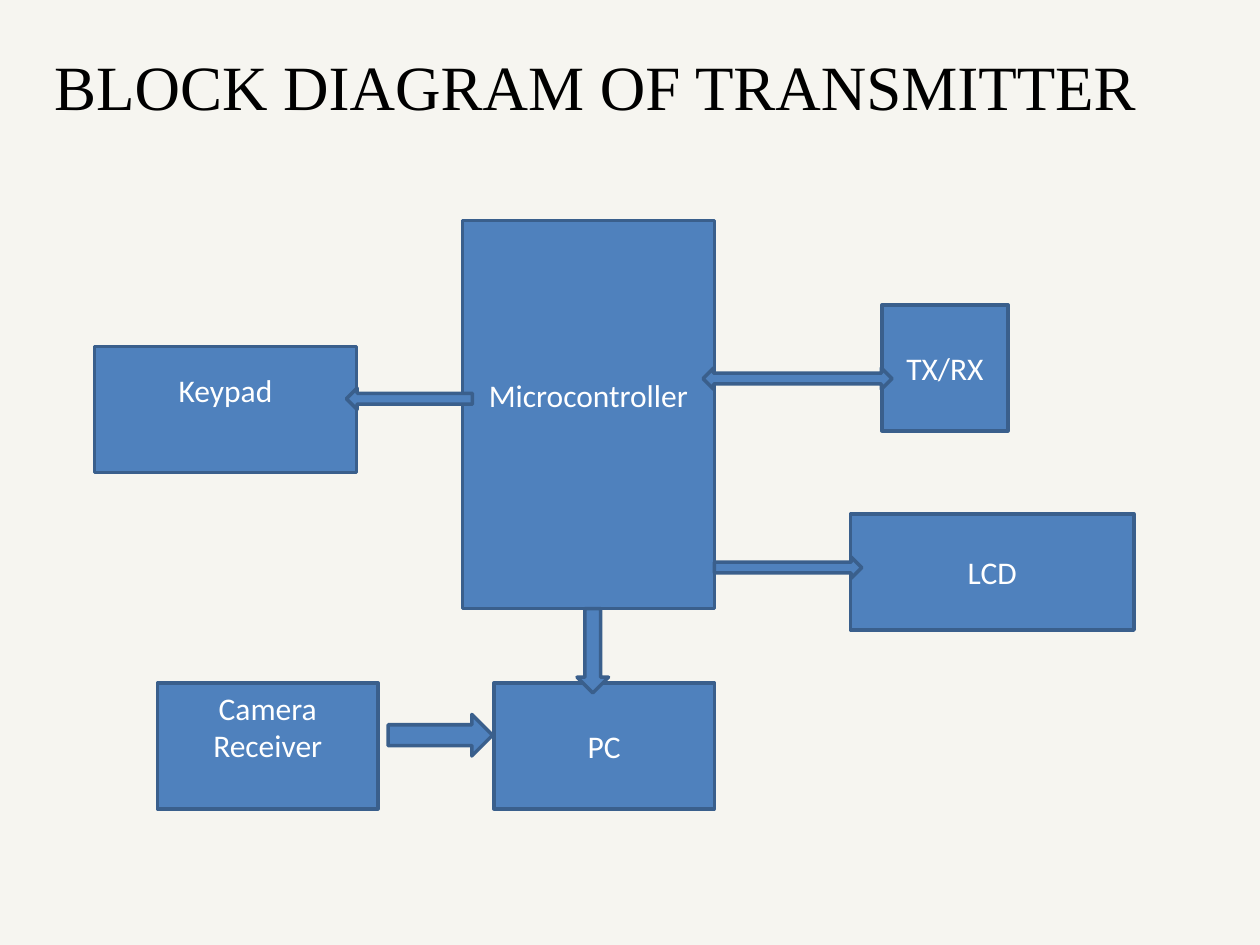
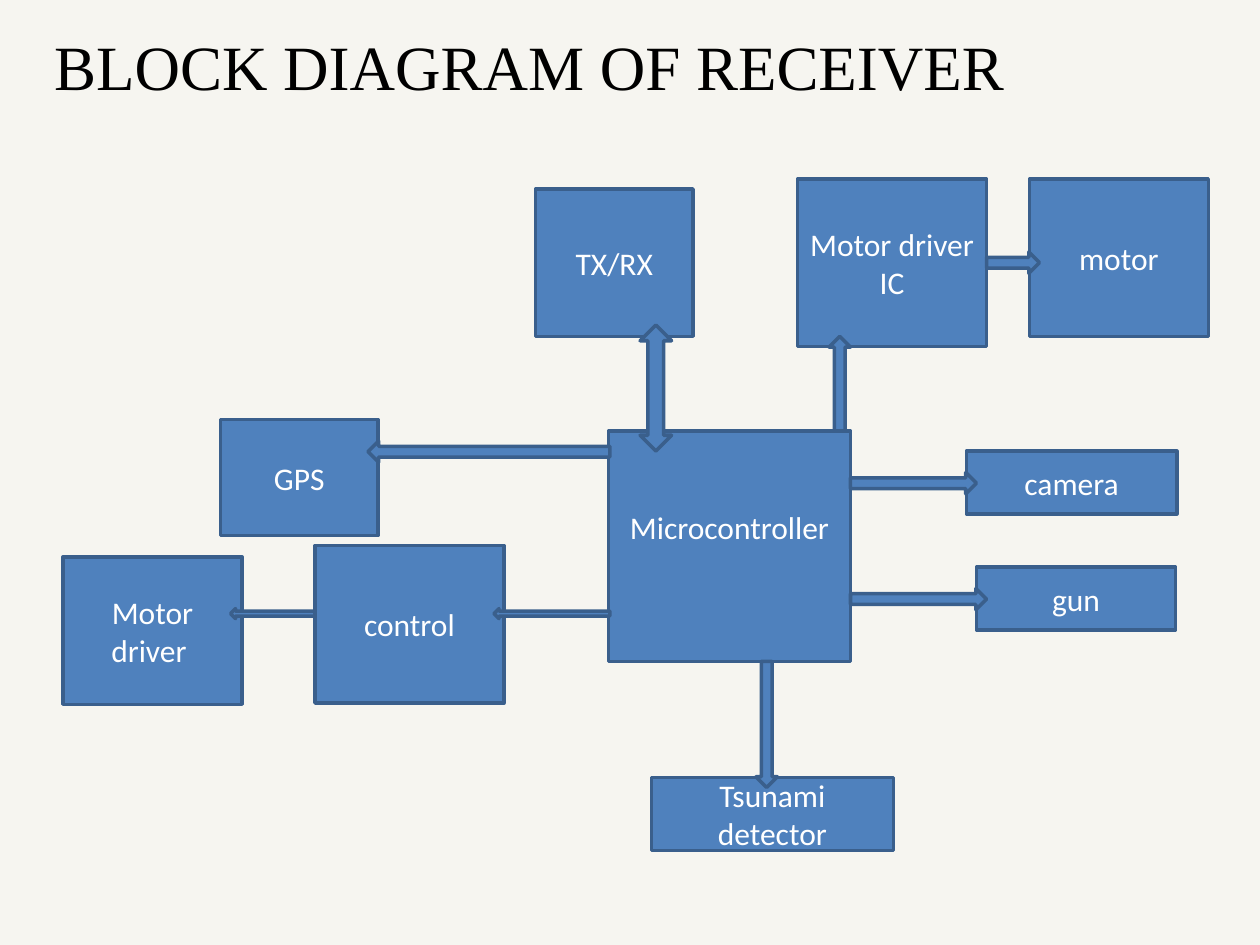
"""Build the block diagrams of a transmitter and a receiver."""
from dataclasses import dataclass

from pptx import Presentation
from pptx import slide as sl
from pptx import util as u
from pptx.dml import color
from pptx.enum import shapes, text

HUES = {"back": "F6F5F0", "fill": "4F81BD", "edge": "3A5F8C",
        "label": "FFFFFF", "title": "000000"}
KIND = shapes.MSO_SHAPE
PAD = 0.05
LINE = 0.31


@dataclass
class Block:
    """A labelled box, whose label may be raised by half a line."""
    label: str
    left: float
    top: float
    width: float
    height: float
    raised: bool = False


@dataclass
class Arrow:
    """A block arrow of a preset kind."""
    kind: shapes.MSO_SHAPE
    left: float
    top: float
    width: float
    height: float


@dataclass
class Page:
    """One diagram with its title."""
    title: str
    top: float
    width: float
    blocks: list[Block]
    arrows: list[Arrow]


PAGES = [
    Page("BLOCK DIAGRAM OF TRANSMITTER", 0.33, 9.33, [
        Block("Microcontroller", 3.67, 1.75, 2, 3.08, True),
        Block("TX/RX", 7, 2.42, 1, 1),
        Block("LCD", 6.75, 4.08, 2.25, 0.92),
        Block("Keypad", 0.75, 2.75, 2.08, 1, True),
        Block("PC", 3.92, 5.42, 1.75, 1),
        Block("Camera Receiver", 1.25, 5.42, 1.75, 1, True),
    ], [
        Arrow(KIND.DOWN_ARROW, 4.58, 4.83, 0.25, 0.67),
        Arrow(KIND.RIGHT_ARROW, 5.67, 4.42, 1.17, 0.17),
        Arrow(KIND.LEFT_ARROW, 2.75, 3.08, 1, 0.17),
        Arrow(KIND.LEFT_RIGHT_ARROW, 5.58, 2.92, 1.5, 0.17),
        Arrow(KIND.RIGHT_ARROW, 3.08, 5.67, 0.83, 0.33),
    ]),
    Page("BLOCK DIAGRAM OF RECEIVER", 0.17, 9.25, [
        Block("Microcontroller", 4.83, 3.42, 1.92, 1.83, True),
        Block("camera", 7.67, 3.58, 1.67, 0.5),
        Block("gun", 7.75, 4.5, 1.58, 0.5),
        Block("Tsunami detector", 5.17, 6.17, 1.92, 0.58),
        Block("control", 2.5, 4.33, 1.5, 1.25),
        Block("Motor driver ", 0.5, 4.42, 1.42, 1.17),
        Block("GPS", 1.75, 3.33, 1.25, 0.92),
        Block("TX/RX", 4.25, 1.5, 1.25, 1.17),
        Block("Motor driver IC", 6.33, 1.42, 1.5, 1.33),
        Block("motor", 8.17, 1.42, 1.42, 1.25),
    ], [
        Arrow(KIND.UP_DOWN_ARROW, 5.08, 2.58, 0.25, 1),
        Arrow(KIND.UP_ARROW, 6.58, 2.67, 0.17, 0.75),
        Arrow(KIND.RIGHT_ARROW, 7.83, 2, 0.42, 0.17),
        Arrow(KIND.RIGHT_ARROW, 6.75, 3.75, 1, 0.17),
        Arrow(KIND.RIGHT_ARROW, 6.75, 4.67, 1.08, 0.17),
        Arrow(KIND.DOWN_ARROW, 6, 5.25, 0.17, 1),
        Arrow(KIND.LEFT_ARROW, 3.92, 4.83, 0.92, 0.08),
        Arrow(KIND.LEFT_ARROW, 2.92, 3.5, 1.92, 0.17),
        Arrow(KIND.LEFT_ARROW, 1.83, 4.83, 0.67, 0.08),
    ]),
]


def hue(name: str) -> color.RGBColor:
    """Look up a shared colour."""
    return color.RGBColor.from_string(HUES[name])


def write(frame, words: str, face: str, size: int, tone: str, align) -> None:
    """Put one formatted paragraph in a text frame."""
    frame.text = words
    frame.word_wrap = True
    para = frame.paragraphs[0]
    para.alignment = align
    font = para.runs[0].font
    font.name, font.size = face, u.Pt(size)
    font.color.rgb = hue(tone)


def draw(page: sl.Slide, kind: shapes.MSO_SHAPE, item: Block | Arrow):
    """Draw a preset shape in the shared style."""
    shape = page.shapes.add_shape(
        kind, u.Inches(item.left), u.Inches(item.top),
        u.Inches(item.width), u.Inches(item.height))
    shape.shadow.inherit = False
    shape.fill.solid()
    shape.fill.fore_color.rgb = hue("fill")
    shape.line.color.rgb = hue("edge")
    shape.line.width = u.Pt(2)
    return shape


def add_block(page: sl.Slide, block: Block) -> None:
    """Draw a box with its label."""
    frame = draw(page, KIND.RECTANGLE, block).text_frame
    write(frame, block.label, "Calibri", 18, "label", text.PP_ALIGN.CENTER)
    frame.vertical_anchor = text.MSO_ANCHOR.MIDDLE
    frame.margin_bottom = u.Inches(PAD + LINE * block.raised)


def add_title(page: sl.Slide, plan: Page) -> None:
    """Place and format the title."""
    title = page.shapes.title
    title.left, title.top = u.Inches(0.33), u.Inches(plan.top)
    title.width, title.height = u.Inches(plan.width), u.Inches(0.71)
    frame = title.text_frame
    write(frame, plan.title, "Times New Roman", 36, "title",
          text.PP_ALIGN.LEFT)
    frame.vertical_anchor = text.MSO_ANCHOR.TOP
    frame.auto_size = text.MSO_AUTO_SIZE.NONE


def add_page(deck, plan: Page) -> None:
    """Add one diagram slide."""
    page = deck.slides.add_slide(deck.slide_layouts[5])
    add_title(page, plan)
    for block in plan.blocks:
        add_block(page, block)
    for arrow in plan.arrows:
        draw(page, arrow.kind, arrow)


def main() -> None:
    """Build and save the deck."""
    deck = Presentation()
    deck.slide_width, deck.slide_height = u.Inches(10), u.Inches(7.5)
    fill = deck.slide_master.background.fill
    fill.solid()
    fill.fore_color.rgb = hue("back")
    for plan in PAGES:
        add_page(deck, plan)
    deck.save("out.pptx")


main()
